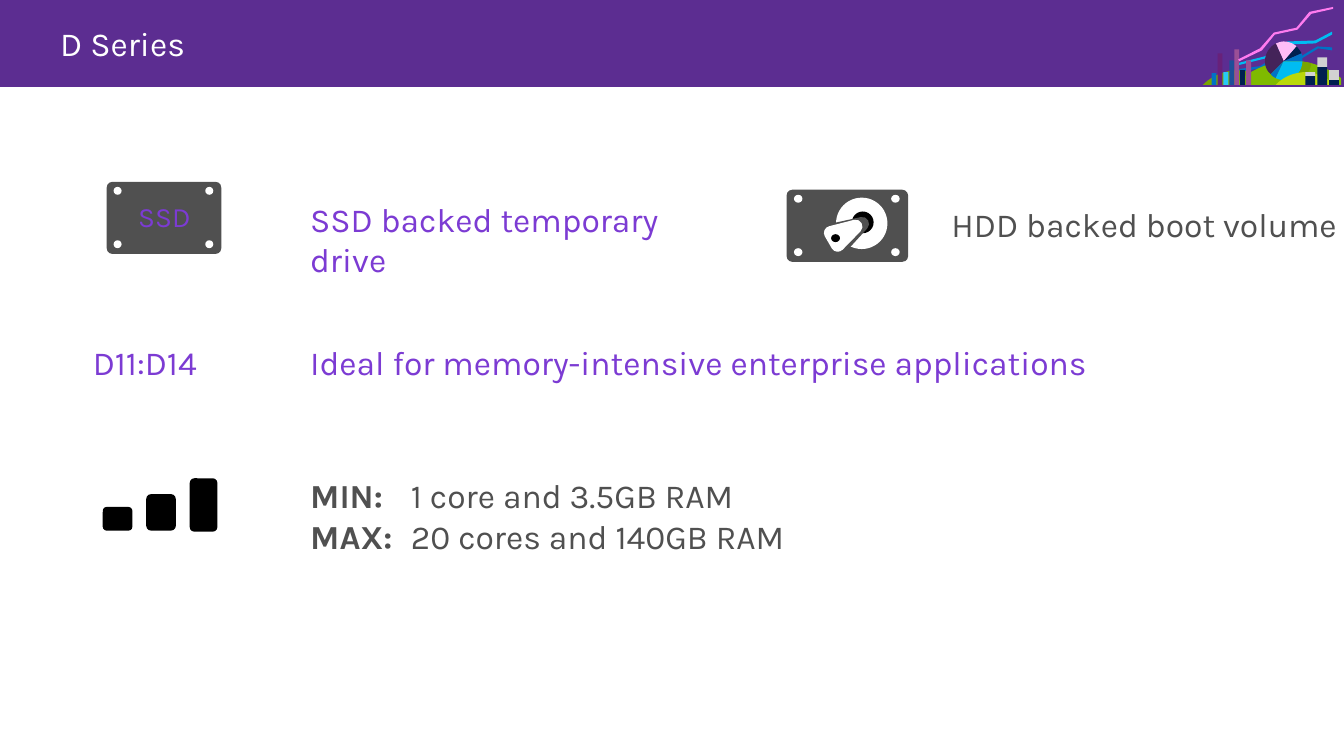
"""Build the D Series slide on a grid of 1360 columns by 765 rows."""
import pptx
import pptx.util
import pptx.dml.color
import pptx.enum.shapes
import pptx.enum.text
import pptx.oxml.ns
from lxml import etree

COLUMNS, ROWS = 1360, 765
COLORS = {
    "white": "FFFFFF", "black": "000000", "gray": "505050", "silver": "D2D2D2",
    "header": "5C2D91", "violet": "7C3BD3", "plum": "68217A", "mauve": "9B4F96",
    "aubergine": "442359", "pink": "FF7BEF", "blush": "FFBDF7", "cyan": "00BCF2",
    "sky": "28C9F7", "blue": "0072C6", "cobalt": "1F4F99", "navy": "002050",
    "moss": "79A500", "green": "7FBA00", "lime": "BAD80A",
}
TITLE = "D Series"
TITLE_INSET = 61
HEADER = (0, 0, COLUMNS, 88)
TEXTS = [
    ((84, 341, 189, 52), [[("D11:D14", False)]], "violet"),
    ((304, 341, 833, 52), [[("Ideal for memory-intensive enterprise applications", False)]], "violet"),
    ((304, 476, 833, 94), [
        [("MIN:\t", True), ("1 core and 3.5GB RAM", False)],
        [("MAX:\t", True), ("20 cores and 140GB RAM", False)],
    ], "gray"),
    ((304, 196, 434, 51), [[("SSD backed temporary drive", False)]], "violet"),
    ((953, 201, 434, 51), [[("HDD backed boot volume", False)]], "gray"),
]
SIZE_BARS = [(104, 513, 30, 24), (148, 500, 30, 37), (192, 484, 28, 54)]
SSD_PLATE = (108, 184, 116, 73)
SSD_LABEL = (130, 197, 78, 45)
HDD_PLATE = (796, 192, 123, 73)
PLATTER = [((846, 200, 52, 52), "white"), ((862, 214, 22, 22), "black")]
ARM = [((844, 217, 24, 38), "gray"), ((848, 223, 14, 25), "white")]
PIVOT = (841, 237, 9, 8)

BASELINE = 86
LANDSCAPE = [
    ("cyan", [(1253, 66), (1252, 64), (1280, 57), (1303, 42), (1331, 41), (1348, 32),
              (1348, 35), (1331, 44), (1304, 45), (1281, 59)]),
    ("blue", [(1253, 73), (1253, 70), (1275, 67), (1293, 56), (1315, 58), (1333, 47),
              (1348, 48), (1348, 51), (1334, 49), (1316, 60), (1294, 58), (1276, 69)]),
    ("moss", [(1261, 72), (1246, 69, 1229, 74, 1217, 86), (1288, 86),
              (1280, 78, 1271, 73, 1261, 72)]),
    ("green", [(1327, 64), (1315, 61, 1302, 61, 1289, 64), (1275, 67, 1261, 74, 1250, 86),
               (1357, 86), (1357, 79), (1348, 72, 1338, 67, 1327, 64)]),
    ("moss", [(1299, 79), (1302, 80, 1305, 81, 1308, 81), (1318, 81, 1326, 74, 1327, 64),
              (1315, 61, 1302, 61, 1289, 64), (1290, 68, 1292, 72, 1294, 75),
              (1296, 77, 1298, 78, 1299, 79)]),
    ("blush", [(1312, 47), (1309, 44, 1304, 42, 1299, 42), (1296, 42, 1294, 43, 1291, 44), (1299, 62)]),
    ("navy", [(1317, 54), (1316, 52, 1314, 49, 1312, 47), (1299, 62)]),
    ("aubergine", [(1291, 44), (1285, 47, 1280, 54, 1280, 62), (1280, 67, 1282, 72, 1286, 75), (1299, 62)]),
    ("blue", [(1299, 62), (1318, 62), (1318, 59, 1318, 57, 1317, 54)]),
    ("blue", [(1286, 75), (1287, 77, 1289, 78, 1291, 79), (1299, 62)]),
    ("cyan", [(1291, 79), (1293, 80, 1296, 81, 1299, 81), (1310, 81, 1318, 72, 1318, 62), (1299, 62)]),
    ("lime", [(1337, 77), (1334, 76, 1331, 74, 1327, 74), (1326, 74, 1324, 73, 1322, 73),
              (1311, 73, 1299, 77, 1291, 86), (1350, 86), (1346, 82, 1342, 79, 1337, 77)]),
]
COLUMN_BARS = [(1255, 71, "navy"), (1238, 73, "sky"), (1244, 61, "cobalt"), (1249, 50, "mauve"),
               (1261, 61, "mauve"), (1226, 74, "blue"), (1232, 54, "plum")]
STACK_START, STACK_STEP, STACK_WIDTH = 1321, 12, 10
STACKS = [(73, 77), (58, 68), (71, 81)]
TREND = ("pink", [(1254, 62), (1253, 60), (1275, 49), (1289, 33), (1312, 28), (1325, 12), (1349, 7),
                  (1349, 9), (1327, 14), (1313, 30), (1290, 35), (1277, 51)])

SHAPE = pptx.enum.shapes.MSO_SHAPE
CELL = pptx.util.Inches(13.6) // COLUMNS


def scaled(box):
    return [round(length * CELL) for length in box]


def rgb(color):
    return pptx.dml.color.RGBColor.from_string(COLORS[color])


def paint(part, color):
    part.shadow.inherit = False
    part.fill.solid()
    part.fill.fore_color.rgb = rgb(color)
    part.line.fill.background()
    return part


def draw(shapes, kind, box, color):
    return paint(shapes.add_shape(kind, *scaled(box)), color)


def outline(shapes, color, steps, samples=8):
    points = [steps[0]]
    for step in steps[1:]:
        if len(step) == 2:
            points.append(step)
            continue
        corners = [points[-1], step[:2], step[2:4], step[4:]]
        for n in range(1, samples + 1):
            t = n / samples
            weights = ((1 - t) ** 3, 3 * t * (1 - t) ** 2, 3 * t * t * (1 - t), t ** 3)
            points.append(tuple(sum(w * c[axis] for w, c in zip(weights, corners)) for axis in (0, 1)))
    points = [scaled(point) for point in points]
    builder = shapes.build_freeform(*points[0], scale=1.0)
    builder.add_line_segments(points[1:], close=True)
    paint(builder.convert_to_shape(), color)


def write(frame, lines, *, color, size=24.5, inset=10, anchor="TOP", fit="SHAPE_TO_FIT_TEXT", tab=102):
    frame.word_wrap = True
    frame.auto_size = getattr(pptx.enum.text.MSO_AUTO_SIZE, fit)
    frame.vertical_anchor = getattr(pptx.enum.text.MSO_ANCHOR, anchor)
    frame.margin_left = inset * CELL
    for number, line in enumerate(lines):
        paragraph = frame.add_paragraph() if number else frame.paragraphs[0]
        paragraph.alignment = pptx.enum.text.PP_ALIGN.LEFT
        if any("\t" in text for text, _ in line):
            stops = etree.SubElement(paragraph._p.get_or_add_pPr(), pptx.oxml.ns.qn("a:tabLst"))
            etree.SubElement(stops, pptx.oxml.ns.qn("a:tab"), pos=str(tab * CELL), algn="l")
        for text, bold in line:
            run = paragraph.add_run()
            run.text = text
            run.font.name = "Karla"
            run.font.size = pptx.util.Pt(size)
            run.font.bold = bold
            run.font.color.rgb = rgb(color)


def drive_plate(shapes, box):
    left, top, width, height = box
    draw(shapes, SHAPE.ROUNDED_RECTANGLE, box, "gray").adjustments[0] = 0.08
    for across in (0.06, 0.86):
        for down in (0.07, 0.81):
            hole = (left + across * width, top + down * height, 0.07 * width, 8)
            draw(shapes, SHAPE.OVAL, hole, "white")


def draw_landscape(shapes):
    for color, steps in LANDSCAPE:
        outline(shapes, color, steps)
    for left, top, color in COLUMN_BARS:
        draw(shapes, SHAPE.RECTANGLE, (left, top, 5, BASELINE - top), color)
    for number, (top, split) in enumerate(STACKS):
        left = STACK_START + number * STACK_STEP
        for start, end, color in ((top, split, "silver"), (split, BASELINE, "navy")):
            draw(shapes, SHAPE.RECTANGLE, (left, start, STACK_WIDTH, end - start), color)
    outline(shapes, *TREND)


def draw_hard_disk(shapes):
    drive_plate(shapes, HDD_PLATE)
    for box, color in PLATTER:
        draw(shapes, SHAPE.OVAL, box, color)
    for box, edge in ARM:
        arm = draw(shapes, SHAPE.FLOWCHART_EXTRACT, box, "white")
        arm.rotation = 60
        arm.line.color.rgb = rgb(edge)
        arm.line.width = pptx.util.Pt(10)
        etree.SubElement(arm._element.spPr.find(pptx.oxml.ns.qn("a:ln")), pptx.oxml.ns.qn("a:round"))
    draw(shapes, SHAPE.OVAL, PIVOT, "black")


def main():
    deck = pptx.Presentation()
    deck.slide_width, deck.slide_height = COLUMNS * CELL, ROWS * CELL
    shapes = deck.slides.add_slide(deck.slide_layouts[6]).shapes

    header = draw(shapes, SHAPE.RECTANGLE, HEADER, "header")
    write(header.text_frame, [[(TITLE, False)]], color="white",
          inset=TITLE_INSET, anchor="MIDDLE", fit="NONE")
    for box, lines, color in TEXTS:
        write(shapes.add_textbox(*scaled(box)).text_frame, lines, color=color)

    size_icon = shapes.add_group_shape().shapes
    for bar in SIZE_BARS:
        draw(size_icon, SHAPE.ROUNDED_RECTANGLE, bar, "black")

    ssd = shapes.add_group_shape().shapes
    drive_plate(ssd, SSD_PLATE)
    write(ssd.add_textbox(*scaled(SSD_LABEL)).text_frame, [[("SSD", False)]], color="violet", size=20.4)

    draw_hard_disk(shapes.add_group_shape().shapes)
    draw_landscape(shapes.add_group_shape().shapes)
    deck.save("out.pptx")


if __name__ == "__main__":
    main()
